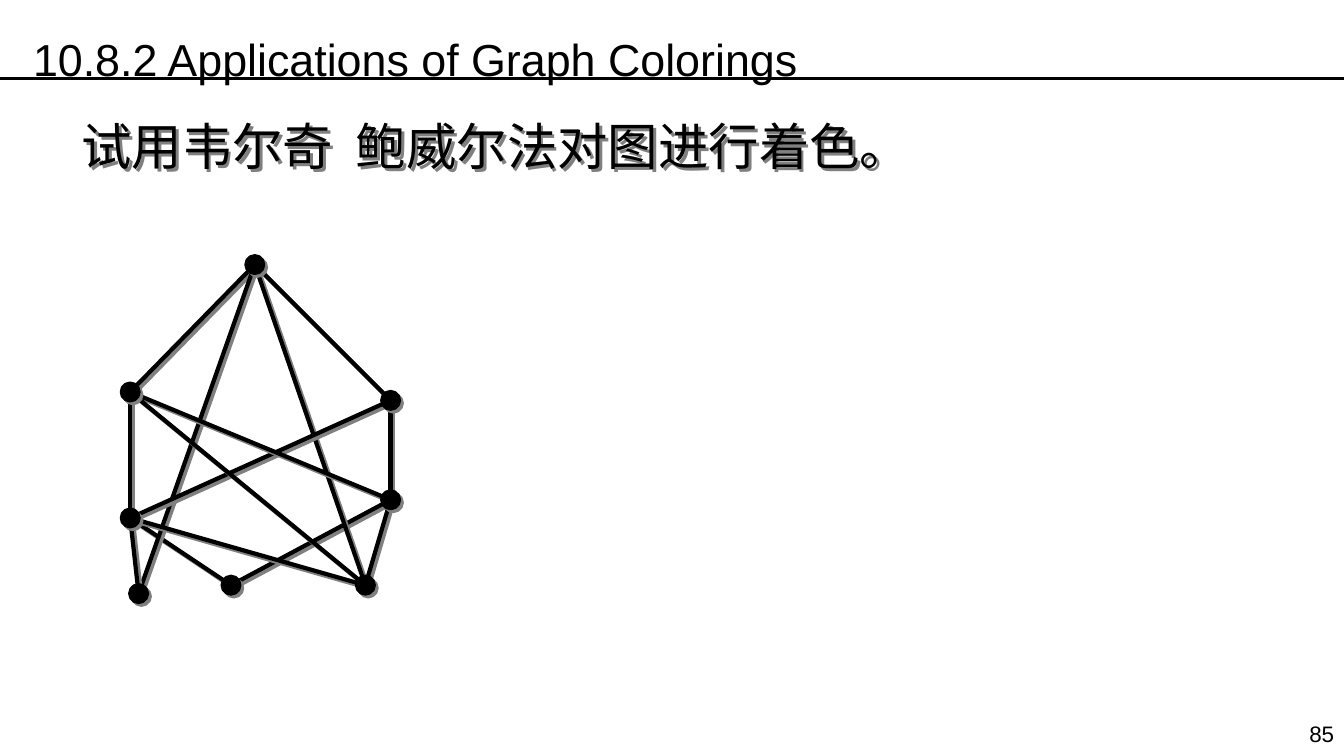
from lxml import etree
from pptx import Presentation
from pptx.dml.color import RGBColor
from pptx.enum.shapes import MSO_CONNECTOR, MSO_SHAPE
from pptx.enum.text import MSO_ANCHOR, PP_ALIGN
from pptx.oxml.ns import qn
from pptx.util import Pt

STRAIGHT = MSO_CONNECTOR.STRAIGHT
OVAL = MSO_SHAPE.OVAL
TOP, MIDDLE = MSO_ANCHOR.TOP, MSO_ANCHOR.MIDDLE
LEFT, RIGHT = PP_ALIGN.LEFT, PP_ALIGN.RIGHT

SLIDE_WIDTH, SLIDE_HEIGHT = 960, 540
BLACK, GRAY = "000000", "808080"
LATIN_FONT, CHINESE_FONT = "Arial", "Noto Sans CJK SC"
NODE_SIZE = 12

VERTICES = {
    "top": (95, 6),
    "upper left": (6, 97),
    "upper right": (192, 103),
    "lower left": (6, 187),
    "lower right": (192, 174),
    "bottom left": (12, 241),
    "bottom middle": (78, 235),
    "bottom right": (174, 235),
}
EDGES = [
    ("top", "upper left"),
    ("top", "upper right"),
    ("upper left", "lower left"),
    ("upper right", "lower right"),
    ("lower left", "bottom middle"),
    ("lower right", "bottom middle"),
    ("top", "bottom right"),
    ("top", "bottom left"),
    ("lower left", "upper right"),
    ("upper left", "lower right"),
    ("upper left", "bottom right"),
    ("lower left", "bottom left"),
    ("lower left", "bottom right"),
    ("lower right", "bottom right"),
]


def rgb(color):
    """Return the colour for a hex string."""
    return RGBColor.from_string(color)


def set_shadow(shape, color=None):
    """Give a shape a diagonal shadow, or none if no colour is given."""
    effects = etree.SubElement(shape._element.spPr, qn("a:effectLst"))
    if color:
        shadow = etree.SubElement(effects, qn("a:outerShdw"), dist=str(Pt(2.8)),
                                  dir="2700000", algn="ctr", rotWithShape="0")
        etree.SubElement(shadow, qn("a:srgbClr"), val=color)


def add_line(slide, start, end, weight, shadow=None):
    """Draw a straight black line between two points."""
    line = slide.shapes.add_connector(STRAIGHT, *map(Pt, start + end))
    line.line.color.rgb = rgb(BLACK)
    line.line.width = Pt(weight)
    set_shadow(line, shadow)


def add_label(slide, box, text, size, font, align=LEFT, anchor=TOP):
    """Add a one-paragraph text box and return it."""
    label = slide.shapes.add_textbox(*map(Pt, box))
    frame = label.text_frame
    frame.word_wrap = True
    frame.vertical_anchor = anchor
    frame.text = text
    paragraph = frame.paragraphs[0]
    paragraph.alignment = align
    run_font = paragraph.runs[0].font
    run_font.size = Pt(size)
    run_font.name = font
    run_font.color.rgb = rgb(BLACK)
    return label


def add_heading(slide, left, top, width, height):
    """Add the section title and the full-width rule behind it."""
    rule_y = top + 56
    add_line(slide, (0, rule_y), (SLIDE_WIDTH, rule_y), 2.5)
    heading = add_label(slide, (left, top, width, height),
                        "10.8.2 Applications of Graph Colorings", 32, LATIN_FONT)
    heading.text_frame.paragraphs[0].line_spacing = 1.5


def add_exercise(slide, *box):
    """Add the shadowed exercise sentence."""
    exercise = add_label(slide, box, "试用韦尔奇  鲍威尔法对图进行着色。", 36,
                         CHINESE_FONT, anchor=MIDDLE)
    run_font = exercise.text_frame.paragraphs[0].runs[0].font
    etree.SubElement(run_font._element, qn("a:ea"), typeface=CHINESE_FONT)
    set_shadow(exercise, GRAY)


def add_graph(slide, left, top):
    """Draw the edges and then the nodes of the graph."""
    centers = {name: (left + x, top + y) for name, (x, y) in VERTICES.items()}
    for start, end in EDGES:
        add_line(slide, centers[start], centers[end], 3, GRAY)
    for x, y in centers.values():
        node = slide.shapes.add_shape(OVAL, Pt(x - NODE_SIZE / 2), Pt(y - NODE_SIZE / 2),
                                      Pt(NODE_SIZE), Pt(NODE_SIZE))
        node.fill.solid()
        node.fill.fore_color.rgb = rgb(BLACK)
        node.line.color.rgb = rgb(BLACK)
        node.line.width = Pt(3)
        set_shadow(node, GRAY)


def main():
    """Build and save the slide."""
    presentation = Presentation()
    presentation.slide_width = Pt(SLIDE_WIDTH)
    presentation.slide_height = Pt(SLIDE_HEIGHT)
    slide = presentation.slides.add_slide(presentation.slide_layouts[6])
    add_heading(slide, 16.5, 0, 870.5, 58.5)
    add_label(slide, (914.5, 511, 45.5, 26.5), "85", 16, LATIN_FONT, align=RIGHT)
    add_exercise(slide, 51, 78.5, 718.5, 51)
    add_graph(slide, 87, 183)
    presentation.save("out.pptx")


if __name__ == "__main__":
    main()
